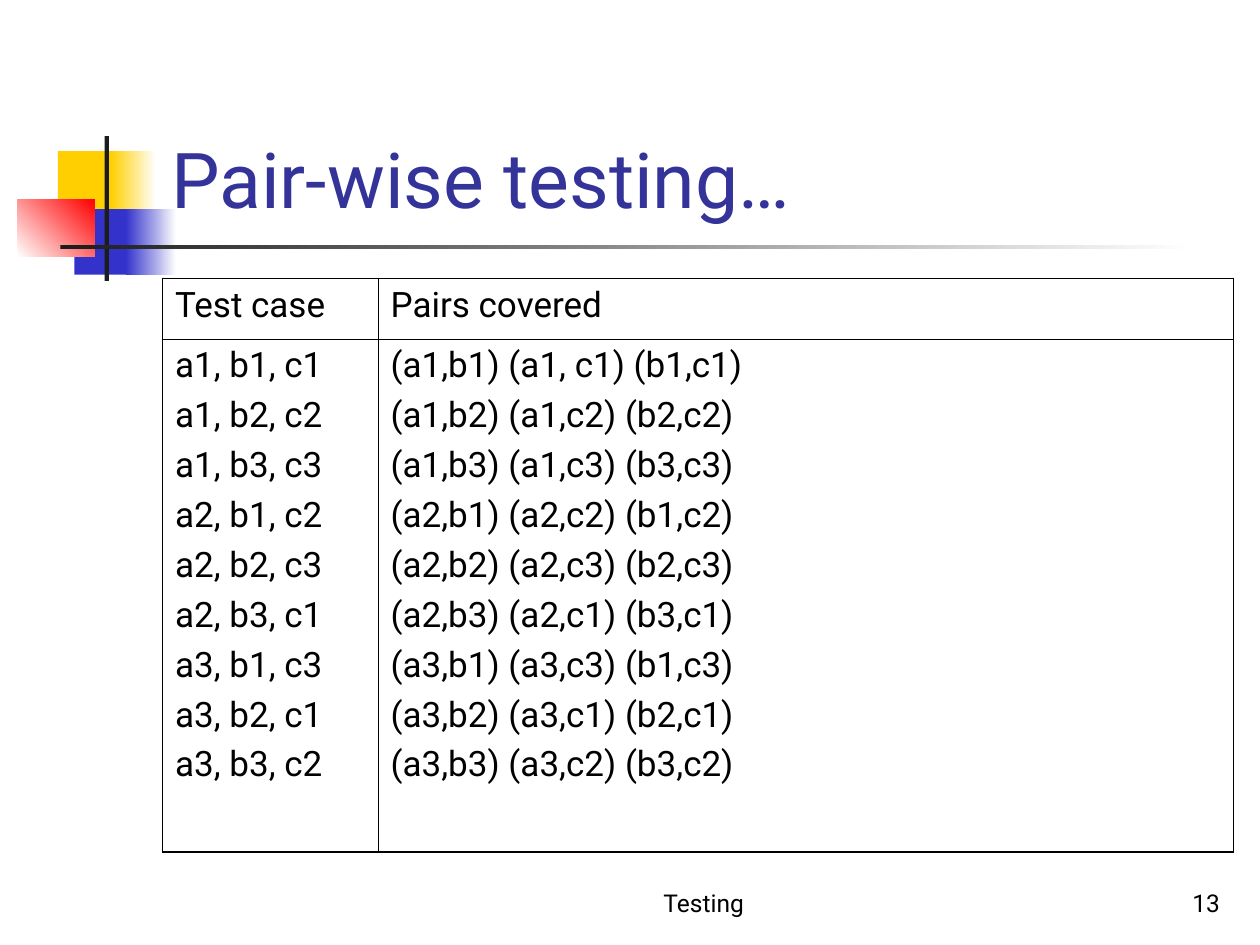
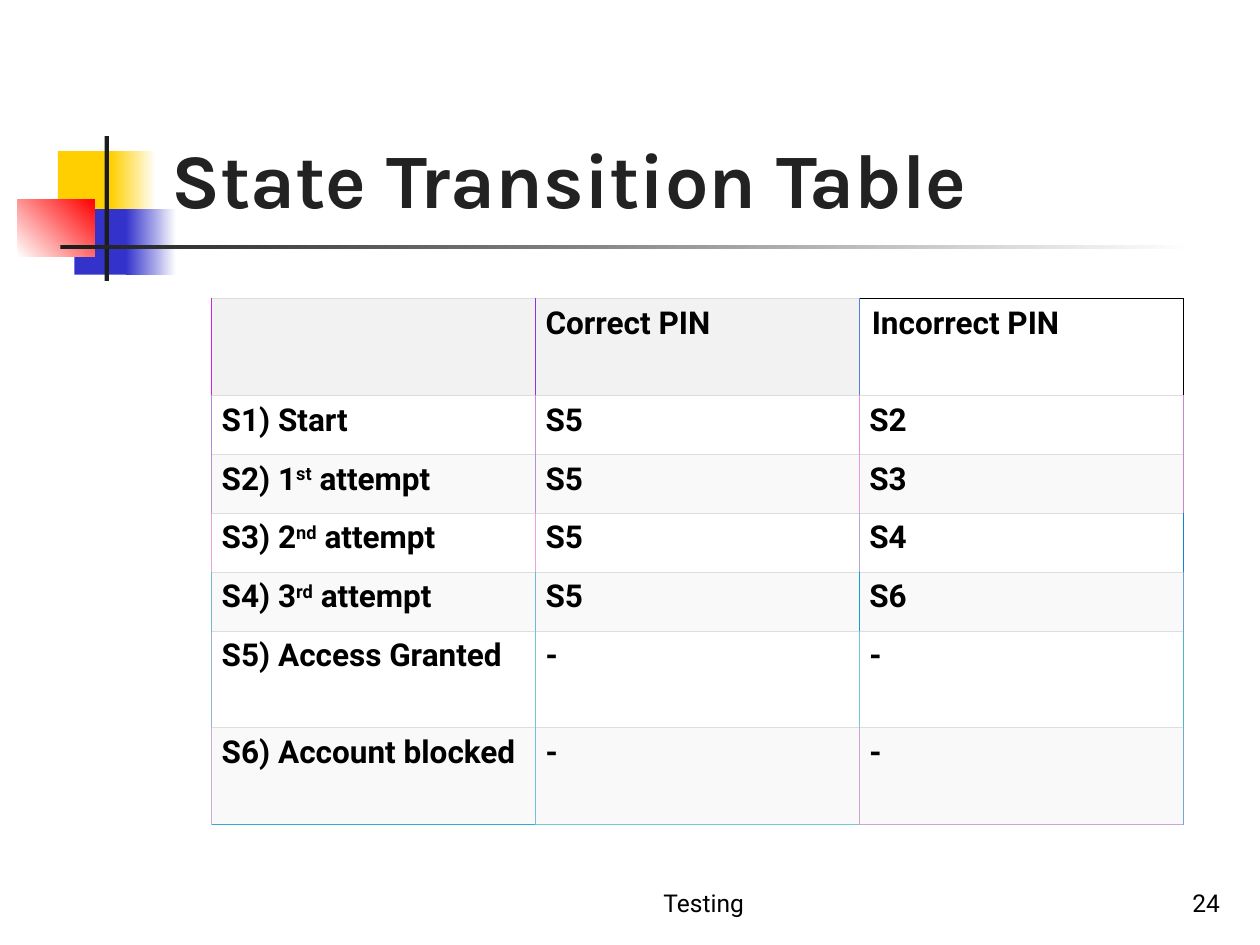
from dataclasses import dataclass
from typing import NamedTuple, Optional

from lxml import etree
from pptx import Presentation
from pptx.dml.color import RGBColor
from pptx.enum.shapes import MSO_SHAPE
from pptx.enum.text import MSO_ANCHOR, PP_ALIGN
from pptx.oxml.ns import qn
from pptx.util import Emu, Inches, Pt

RECTANGLE = MSO_SHAPE.RECTANGLE
BOTTOM = MSO_ANCHOR.BOTTOM
LEFT, CENTER, RIGHT = PP_ALIGN.LEFT, PP_ALIGN.CENTER, PP_ALIGN.RIGHT

# The slide is a grid of 100 columns by 75 rows of square units.
COLUMNS, ROWS = 100, 75
SLIDE_WIDTH, SLIDE_HEIGHT = Inches(10), Inches(7.5)
UNIT = SLIDE_WIDTH // COLUMNS

COLORS = {
    "white": "FFFFFF",
    "black": "000000",
    "charcoal": "1C1C1C",
    "yellow": "FFCF01",
    "blue": "3333CC",
    "red": "FF0000",
    "title blue": "333399",
    "title gray": "222222",
    "header": "F2F2F2",
    "band": "F9F9F9",
    "grid": "DDDDDD",
}


class Area(NamedTuple):
    """Left, top, width and height in grid units."""
    left: float
    top: float
    width: float
    height: float


class TextStyle(NamedTuple):
    size: float
    color: str = "black"
    font: str = "Roboto"
    bold: bool = False
    align: PP_ALIGN = LEFT
    space_before: float = 0


class Block(NamedTuple):
    area: Area
    start: str
    end: Optional[str] = None
    angle: float = 0


class Edge(NamedTuple):
    color: str
    width: float


@dataclass
class TablePlan:
    """Cell texts with their edges: uprights run row by row, levels line by line."""
    area: Area
    column_widths: list[float]
    row_heights: list[float]
    texts: list[list[str]]
    fills: list[list[Optional[str]]]
    uprights: list[list[Edge]]
    levels: list[list[Edge]]
    style: TextStyle
    side_margins: list[list[float]]


BLOCKS = [
    Block(Area(4.6, 12, 4.8, 5.2), "yellow"),
    Block(Area(8.8, 12, 3.6, 5.2), "yellow", "white"),
    Block(Area(5.9, 16.6, 4.6, 5.2), "blue"),
    Block(Area(10, 16.6, 4, 5.2), "blue", "white"),
    Block(Area(1.4, 15.8, 6.1, 4.6), "white", "red", 45),
    Block(Area(8.3, 10.8, 0.35, 11.5), "charcoal"),
    Block(Area(4.8, 19.45, 90, 0.35), "charcoal", "white"),
]
TITLE_AREA = Area(12.6, 2.3, 85.2, 16)
FOOTER_AREA = Area(40, 68.3, 31.7, 5)
NUMBER_AREA = Area(77, 68.3, 20.8, 5)


def units(length: float) -> Emu:
    return Emu(round(length * UNIT))


def rgb(name: str) -> RGBColor:
    """Look a colour up by name; a plain hex string stands for itself."""
    return RGBColor.from_string(COLORS.get(name, name))


def write_text(frame, text: str, style: TextStyle) -> None:
    """Write one paragraph per line; parts between carets are superscript."""
    for index, line in enumerate(text.split("\n")):
        para = frame.add_paragraph() if index else frame.paragraphs[0]
        para.alignment = style.align
        para.space_before = Pt(style.space_before)
        for position, part in enumerate(line.split("^")):
            span = para.add_run()
            span.text = part
            if position % 2:
                span._r.get_or_add_rPr().set("baseline", "30000")
        for font in (para.font, *(span.font for span in para.runs)):
            font.name = style.font
            font.size = Pt(style.size)
            font.bold = style.bold
            font.color.rgb = rgb(style.color)


def add_text(page, area: Area, text: str, style: TextStyle) -> None:
    box = page.shapes.add_textbox(*map(units, area))
    box.text_frame.word_wrap = True
    box.text_frame.vertical_anchor = BOTTOM
    write_text(box.text_frame, text, style)


def add_block(page, block: Block) -> None:
    shape = page.shapes.add_shape(RECTANGLE, *map(units, block.area))
    shape.shadow.inherit = False
    shape.line.fill.background()
    if block.end is None:
        shape.fill.solid()
        shape.fill.fore_color.rgb = rgb(block.start)
        return
    shape.fill.gradient()
    shape.fill.gradient_angle = block.angle
    for stop, color in zip(shape.fill.gradient_stops, (block.start, block.end)):
        stop.color.rgb = rgb(color)


def set_edge(cell, side: str, edge: Edge) -> None:
    line = etree.SubElement(cell._tc.get_or_add_tcPr(), qn(f"a:ln{side}"),
                            w=str(Pt(edge.width)))
    fill = etree.SubElement(line, qn("a:solidFill"))
    etree.SubElement(fill, qn("a:srgbClr"), val=str(rgb(edge.color)))


def add_table(page, plan: TablePlan) -> None:
    frame = page.shapes.add_table(len(plan.row_heights), len(plan.column_widths),
                                  *map(units, plan.area))
    table = frame.table
    table.first_row = table.horz_banding = False
    for column, width in zip(table.columns, plan.column_widths):
        column.width = units(width)
    for r, height in enumerate(plan.row_heights):
        table.rows[r].height = units(height)
        for c, text in enumerate(plan.texts[r]):
            cell = table.cell(r, c)
            set_edge(cell, "L", plan.uprights[r][c])
            set_edge(cell, "R", plan.uprights[r][c + 1])
            set_edge(cell, "T", plan.levels[r][c])
            set_edge(cell, "B", plan.levels[r + 1][c])
            fill = plan.fills[r][c]
            if fill:
                cell.fill.solid()
                cell.fill.fore_color.rgb = rgb(fill)
            else:
                cell.fill.background()
            cell.margin_left = cell.margin_right = units(plan.side_margins[r][c])
            cell.margin_top = cell.margin_bottom = units(0.5)
            if text:
                write_text(cell.text_frame, text, plan.style)


def add_page(deck, title: str, title_style: TextStyle, number: int, plan: TablePlan) -> None:
    page = deck.slides.add_slide(deck.slide_layouts[6])
    for block in BLOCKS:
        add_block(page, block)
    add_text(page, TITLE_AREA, title, title_style)
    add_table(page, plan)
    add_text(page, FOOTER_AREA, "Testing", TextStyle(14, align=CENTER))
    add_text(page, NUMBER_AREA, str(number), TextStyle(14, align=RIGHT))


def pairs_plan() -> TablePlan:
    covered = {
        "a1, b1, c1": "(a1,b1) (a1, c1) (b1,c1)",
        "a1, b2, c2": "(a1,b2) (a1,c2) (b2,c2)",
        "a1, b3, c3": "(a1,b3) (a1,c3) (b3,c3)",
        "a2, b1, c2": "(a2,b1) (a2,c2) (b1,c2)",
        "a2, b2, c3": "(a2,b2) (a2,c3) (b2,c3)",
        "a2, b3, c1": "(a2,b3) (a2,c1) (b3,c1)",
        "a3, b1, c3": "(a3,b1) (a3,c3) (b1,c3)",
        "a3, b2, c1": "(a3,b2) (a3,c1) (b2,c1)",
        "a3, b3, c2": "(a3,b3) (a3,c2) (b3,c2)",
    }
    outer, inner = Edge("black", 1.08), Edge("black", 0.45)
    return TablePlan(
        area=Area(12.9, 22.1, 85, 45.5),
        column_widths=[17.1, 67.9],
        row_heights=[4.8, 40.7],
        texts=[["Test case", "Pairs covered"],
               ["\n".join(covered), "\n".join(covered.values())]],
        fills=[[None] * 2] * 2,
        uprights=[[outer, inner, outer]] * 2,
        levels=[[outer] * 2, [inner] * 2, [outer] * 2],
        style=TextStyle(20, space_before=5),
        side_margins=[[1] * 2] * 2,
    )


def transitions_plan() -> TablePlan:
    texts = [
        ["", "Correct PIN", "Incorrect PIN"],
        ["S1) Start", "S5", "S2"],
        ["S2) 1^st^ attempt", "S5", "S3"],
        ["S3) 2^nd^ attempt", "S5", "S4"],
        ["S4) 3^rd^ attempt", "S5", "S6"],
        ["S5) Access Granted", "-", "-"],
        ["S6) Account blocked", "-", "-"],
    ]
    upright_colors = [
        ["D021E3", "9032E3", "507FD6", "black"],
        ["B08BD6", "D08BD6", "F08BD6", "D080D6"],
        ["B094D6", "B094D6", "F09BD6", "D080D6"],
        ["F0A2D6", "F0A2D6", "B0ABD6", "1081D6"],
        ["70B8D6", "70B8D6", "109CD6", "709DD6"],
        ["90B5D6", "70C7D6", "70C7D6", "50B4D6"],
        ["D0ABD6", "70C2D6", "D0A3D6", "70A8D6"],
    ]
    grid = Edge("grid", 0.34)
    top = [grid, grid, Edge("black", 0.45)]
    bottom = [Edge(color, 0.45) for color in ("30AAD6", "70C9D6", "D0A4D6")]
    body_rows = len(texts) - 1
    return TablePlan(
        area=Area(16.8, 23.7, 77.1, 41.8),
        column_widths=[25.7] * 3,
        row_heights=[7.7, *[4.68] * 4, 7.65, 7.7],
        texts=texts,
        fills=[["header", "header", None],
               *[[("white", "band")[row % 2]] * 3 for row in range(body_rows)]],
        uprights=[[Edge(color, 0.34 if color.endswith("E3") else 0.45) for color in row]
                  for row in upright_colors],
        levels=[top, *[[grid] * 3] * body_rows, bottom],
        style=TextStyle(18, bold=True),
        side_margins=[[0.8, 0.8, 1], *[[0.8] * 3] * body_rows],
    )


def main() -> None:
    deck = Presentation()
    deck.slide_width, deck.slide_height = SLIDE_WIDTH, SLIDE_HEIGHT
    add_page(deck, "Pair-wise testing…", TextStyle(44, "title blue"), 13, pairs_plan())
    add_page(deck, "State Transition Table", TextStyle(44, "title gray", "Karla", True),
             24, transitions_plan())
    deck.save("out.pptx")


if __name__ == "__main__":
    main()
